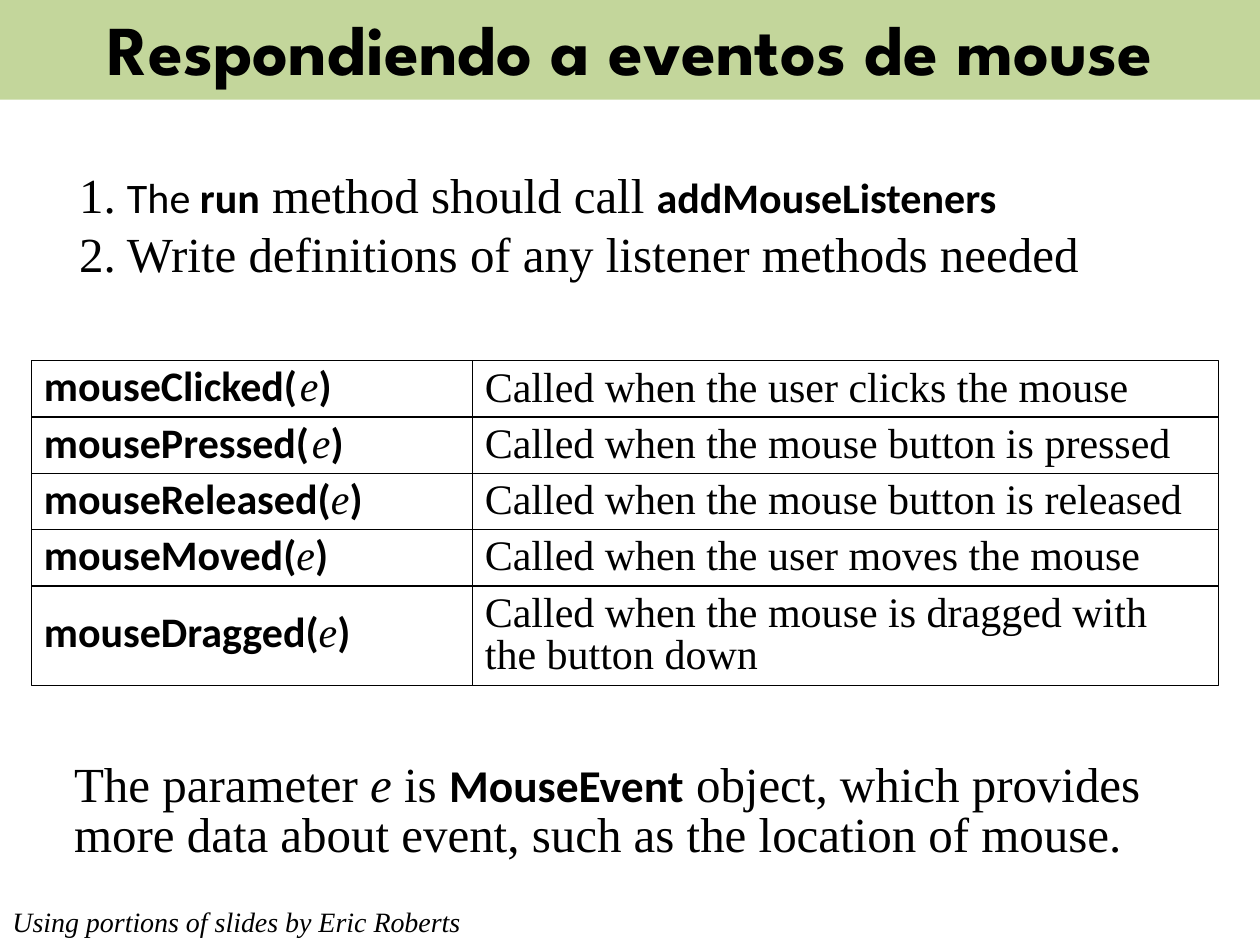
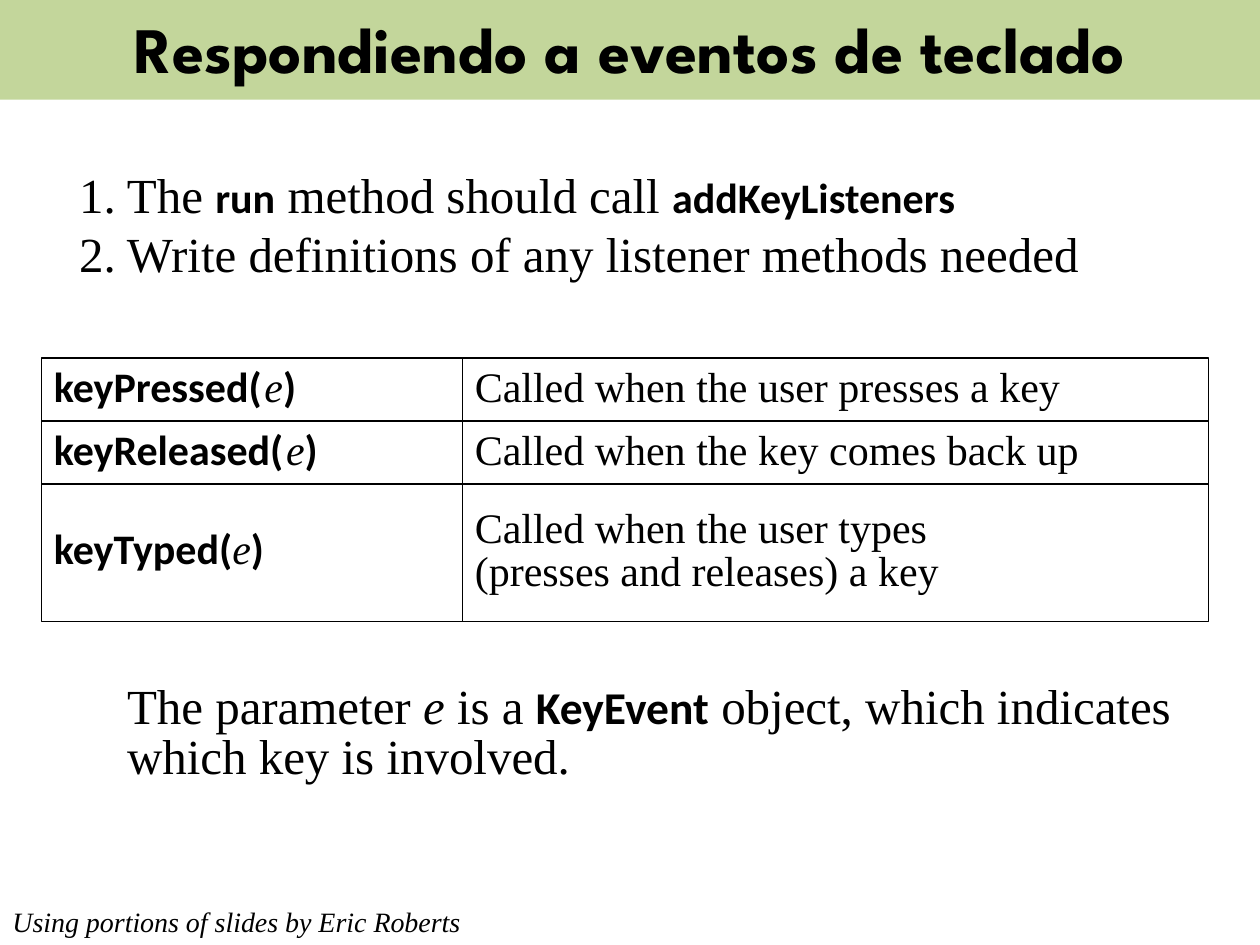
"""Build two slides on responding to mouse and keyboard events."""
from itertools import accumulate

from pptx import Presentation
from pptx.dml.color import RGBColor
from pptx.enum import shapes, text
from pptx.util import Inches, Pt

BLACK = RGBColor(0x00, 0x00, 0x00)
WHITE = RGBColor(0xFF, 0xFF, 0xFF)
GREEN = RGBColor(0xC3, 0xD6, 0x9B)
SERIF, SANS, DISPLAY = "Times New Roman", "Calibri", "League Spartan"
BORDER_OVERLAP = 0.01

STYLES = {
    "body": dict(name=SERIF, size=28),
    "variable": dict(name=SERIF, size=28, italic=True),
    "small": dict(name=SANS, size=24),
    "code": dict(name=SANS, size=24, bold=True),
    "class": dict(name=SANS, size=26, bold=True),
    "cell": dict(name=SERIF, size=24),
    "argument": dict(name=SERIF, size=24, italic=True),
    "gap": dict(name=SERIF, size=6, italic=True),
    "footer": dict(name=SERIF, size=16, italic=True),
}

FOOTER = "Using portions of slides by Eric Roberts"
WRITE_STEP = [("Write definitions of any listener methods needed", "body")]

SLIDES = [
    {
        "title": "Respondiendo a eventos de mouse",
        "title_size": 40,
        "steps": [
            [("The ", "small"), ("run", "code"), (" method should call ", "body"),
             ("addMouseListeners", "code")],
            WRITE_STEP,
        ],
        "grid_at": (0.25, 2.86),
        "columns": (3.5, 5.92),
        "row_heights": (0.45, 0.45, 0.44, 0.45, 0.78),
        "methods": [
            ("mouseClicked", True, ["Called when the user clicks the mouse"]),
            ("mousePressed", True, ["Called when the mouse button is pressed"]),
            ("mouseReleased", False, ["Called when the mouse button is released"]),
            ("mouseMoved", False, ["Called when the user moves the mouse"]),
            ("mouseDragged", False, ["Called when the mouse is dragged with", "the button down"]),
        ],
        "note_at": (0.11, 6, 9.39, 1),
        "note": [("The parameter ", "body"), ("e", "variable"), (" is ", "body"),
                 ("MouseEvent", "class"),
                 (" object, which provides more data about event, "
                  "such as the location of mouse.", "body")],
    },
    {
        "title": "Respondiendo a eventos de teclado",
        "title_size": 37,
        "steps": [
            [("The ", "body"), ("run", "code"), (" method should call ", "body"),
             ("addKeyListeners", "code")],
            WRITE_STEP,
        ],
        "grid_at": (0.33, 2.84),
        "columns": (3.34, 5.92),
        "row_heights": (0.5, 0.5, 1.08),
        "methods": [
            ("keyPressed", True, ["Called when the user presses a key"]),
            ("keyReleased", True, ["Called when the key comes back up"]),
            ("keyTyped", False, ["Called when the user types", "(presses and releases) a key"]),
        ],
        "note_at": (0.53, 5.38, 8.89, 1),
        "note": [("The parameter ", "body"), ("e", "variable"), (" is a ", "body"),
                 ("KeyEvent", "class"),
                 (" object, which indicates which key is involved.", "body")],
    },
]


def format_font(font, name, size, bold=False, italic=False):
    font.name, font.size = name, Pt(size)
    font.bold, font.italic = bold, italic
    font.color.rgb = BLACK


def write_paragraphs(frame, paragraphs, line_spacing=None):
    frame.word_wrap = True
    for index, runs in enumerate(paragraphs):
        paragraph = frame.add_paragraph() if index else frame.paragraphs[0]
        paragraph.alignment = text.PP_ALIGN.LEFT
        if line_spacing:
            paragraph.line_spacing = line_spacing
        for words, style in runs:
            run = paragraph.add_run()
            run.text = words
            format_font(run.font, **STYLES[style])


def set_indent(paragraph, left, first_line=0):
    properties = paragraph._p.get_or_add_pPr()
    properties.set("marL", str(Inches(left)))
    properties.set("indent", str(Inches(first_line)))


def add_text(slide, box, paragraphs, line_spacing=None):
    frame = slide.shapes.add_textbox(*map(Inches, box)).text_frame
    write_paragraphs(frame, paragraphs, line_spacing)
    return frame


def add_rectangle(slide, box, fill):
    rectangle = slide.shapes.add_shape(shapes.MSO_SHAPE.RECTANGLE, *map(Inches, box))
    rectangle.shadow.inherit = False
    rectangle.fill.solid()
    rectangle.fill.fore_color.rgb = fill
    rectangle.text_frame.vertical_anchor = text.MSO_ANCHOR.MIDDLE
    return rectangle


def add_title(slide, title, size):
    band = add_rectangle(slide, (0, -0.03, 10, 0.82), GREEN)
    band.line.fill.background()
    band.text_frame.text = title
    paragraph = band.text_frame.paragraphs[0]
    paragraph.alignment = text.PP_ALIGN.CENTER
    format_font(paragraph.runs[0].font, DISPLAY, size, bold=True)


def add_steps(slide, steps):
    numbered = [[(f"{number}.\t", "body"), *runs] for number, runs in enumerate(steps, 1)]
    frame = add_text(slide, (0.53, 1.26, 9.14, 1.74), numbered)
    for paragraph in frame.paragraphs:
        set_indent(paragraph, 0.38, -0.38)


def add_cell(slide, box, paragraphs, line_spacing):
    cell = add_rectangle(slide, box, WHITE)
    cell.line.color.rgb = BLACK
    cell.line.width = Pt(0.75)
    write_paragraphs(cell.text_frame, paragraphs, line_spacing)


def add_methods(slide, content):
    left, top = content["grid_at"]
    name_width, description_width = content["columns"]
    heights = content["row_heights"]
    tops = accumulate(heights, initial=top)
    for row_top, height, (method, has_gap, description) in zip(tops, heights, content["methods"]):
        cell_height = height + BORDER_OVERLAP
        gap = [(" ", "gap")] if has_gap else []
        signature = [(method + "(", "code"), *gap, ("e", "argument"), (")", "code")]
        add_cell(slide, (left, row_top, name_width, cell_height), [signature], 0.8)
        add_cell(slide, (left + name_width, row_top, description_width, cell_height),
                 [[(line, "cell")] for line in description], 0.85)


def build_slide(presentation, content):
    slide = presentation.slides.add_slide(presentation.slide_layouts[6])
    add_methods(slide, content)
    note = add_text(slide, content["note_at"], [content["note"]], 0.85)
    set_indent(note.paragraphs[0], 0.38)
    add_steps(slide, content["steps"])
    add_text(slide, (0, 7.13, 5.41, 0.37), [[(FOOTER, "footer")]])
    add_title(slide, content["title"], content["title_size"])


def main():
    presentation = Presentation()
    presentation.slide_width, presentation.slide_height = Inches(10), Inches(7.5)
    for content in SLIDES:
        build_slide(presentation, content)
    presentation.save("out.pptx")


if __name__ == "__main__":
    main()
